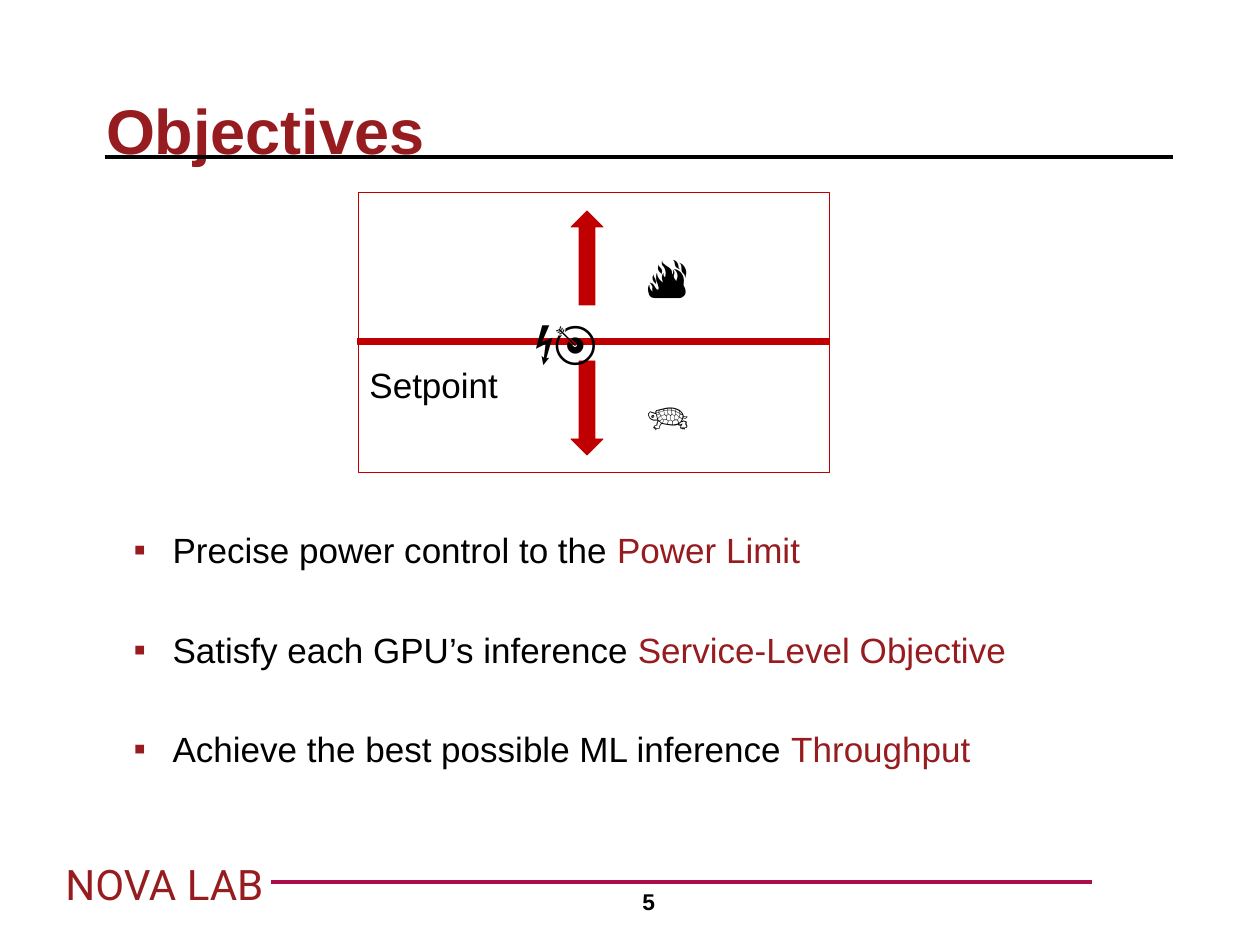
from dataclasses import dataclass

from lxml.etree import SubElement
from pptx import Presentation
from pptx.dml.color import RGBColor as Rgb
from pptx.enum.shapes import MSO_CONNECTOR as Connector, MSO_SHAPE as Shape
from pptx.enum.text import MSO_ANCHOR as Anchor, MSO_AUTO_SIZE as AutoSize, PP_ALIGN as Align
from pptx.oxml.ns import qn
from pptx.util import Emu, Pt


@dataclass(frozen=True)
class Theme:
    """Colours, fonts and type sizes of the slide."""
    black: str = "000000"
    white: str = "FFFFFF"
    crimson: str = "961C1F"
    red: str = "C00000"
    magenta: str = "AC0E4B"
    font: str = "Arial"
    label_font: str = "Roboto"
    title: int = 36
    symbol: int = 24
    body: int = 20
    number: int = 13


THEME = Theme()
SCALE = 914400 / 126
GOALS = [
    ("Precise power control to the ", "Power Limit"),
    ("Satisfy each GPU’s inference ", "Service-Level Objective"),
    ("Achieve the best possible ML inference ", "Throughput"),
]
SYMBOLS = [("🐢", 634, 376, 640), ("⚡\ufe0f🎯", 522, 309, 839), ("🔥", 634, 243, 839)]


def px(*lengths):
    """Turn pixel lengths into EMU."""
    return [Emu(round(length * SCALE)) for length in lengths]


def style(font, size, color=THEME.black, name=THEME.font, bold=False):
    """Set the look of a font."""
    font.size, font.name, font.bold = Pt(size), name, bold
    font.color.rgb = Rgb.from_string(color)


def place(shape, *bounds):
    """Move and size a shape."""
    shape.left, shape.top, shape.width, shape.height = px(*bounds)


def add_rule(slide, start, end, y, color, width):
    """Draw a horizontal line."""
    rule = slide.shapes.add_connector(Connector.STRAIGHT, *px(start, y, end, y))
    rule.line.color.rgb = Rgb.from_string(color)
    rule.line.width = Pt(width)
    SubElement(rule._element.spPr, qn("a:effectLst"))


def add_block(shapes, kind, bounds, fill=None, line=None):
    """Draw a preset shape with optional fill and outline."""
    block = shapes.add_shape(kind, *px(*bounds))
    block.shadow.inherit = False
    if fill:
        block.fill.solid()
        block.fill.fore_color.rgb = Rgb.from_string(fill)
    else:
        block.fill.background()
    if line:
        block.line.color.rgb = Rgb.from_string(line)
        block.line.width = Pt(0.5)
    else:
        block.line.fill.background()
    return block


def add_text(shapes, text, bounds, size, bold=False):
    """Add a wrapping text box of one line."""
    box = shapes.add_textbox(*px(*bounds))
    box.text_frame.word_wrap = True
    para = box.text_frame.paragraphs[0]
    para.text = text
    style(para.font, size, bold=bold)


def fill_title(title, text):
    """Place and format the title."""
    place(title, 106, 79, 1065, 94)
    frame = title.text_frame
    frame.text = text
    frame.auto_size = AutoSize.NONE
    frame.vertical_anchor = Anchor.BOTTOM
    frame.margin_left = frame.margin_right = 0
    para = frame.paragraphs[0]
    para.alignment, para.line_spacing = Align.LEFT, 1.1
    style(para.font, THEME.title, THEME.crimson, bold=True)


def set_bullet(para):
    """Give a paragraph a square bullet with a hanging indent."""
    props = para._p.get_or_add_pPr()
    margin, indent = px(101, -39)
    props.set("marL", str(margin))
    props.set("indent", str(indent))
    SubElement(SubElement(props, qn("a:buClr")), qn("a:srgbClr"), val=THEME.crimson)
    SubElement(props, qn("a:buFont"), typeface=THEME.font)
    SubElement(props, qn("a:buChar"), char="▪")


def fill_goals(body, goals):
    """Write the bulleted goals with their key terms coloured."""
    place(body, 59, 522, 1067, 260)
    frame = body.text_frame
    frame.auto_size = AutoSize.NONE
    for index, goal in enumerate(goals):
        para = frame.add_paragraph() if index else frame.paragraphs[0]
        para.level = 1
        para.space_before, para.space_after = Pt(0), Pt(33)
        set_bullet(para)
        for text, color in zip(goal, (THEME.black, THEME.crimson)):
            span = para.add_run()
            span.text = text
            style(span.font, THEME.body, color)


def add_setpoint_diagram(slide):
    """Draw the framed setpoint bar with its arrows and symbols."""
    shapes = slide.shapes.add_group_shape().shapes
    red = THEME.red
    add_block(shapes, Shape.RECTANGLE, (357, 338, 472, 6), red, red)
    add_block(shapes, Shape.RECTANGLE, (358, 192, 471, 281), line=red)
    for kind, top in ((Shape.UP_ARROW, 211), (Shape.DOWN_ARROW, 361)):
        add_block(shapes, kind, (571, top, 32, 94), red, red)
    for text, left, top, width in SYMBOLS:
        add_text(shapes, text, (left, top, width, 63), THEME.symbol)
    add_text(shapes, "Setpoint", (357, 357, 294, 55), THEME.body)


def add_footer(slide):
    """Add the footer rule, page number and lab label."""
    add_rule(slide, 116, 1092, 882, THEME.magenta, 2.25)
    add_text(slide.shapes, "5", (630, 882, 63, 40), THEME.number, bold=True)
    label = add_block(slide.shapes, Shape.RECTANGLE, (53, 852, 218, 63), THEME.white)
    label.text_frame.word_wrap = False
    para = label.text_frame.paragraphs[0]
    para.text, para.alignment = "NOVA LAB", Align.LEFT
    style(para.font, THEME.symbol, THEME.crimson, THEME.label_font)


def main():
    """Build the slide and save it."""
    deck = Presentation()
    deck.slide_width, deck.slide_height = px(1260, 945)
    slide = deck.slides.add_slide(deck.slide_layouts[1])
    add_rule(slide, 105, 1173, 157, THEME.black, 2)
    add_footer(slide)
    fill_title(slide.shapes.title, "Objectives")
    fill_goals(slide.placeholders[1], GOALS)
    add_setpoint_diagram(slide)
    deck.save("out.pptx")


if __name__ == "__main__":
    main()
